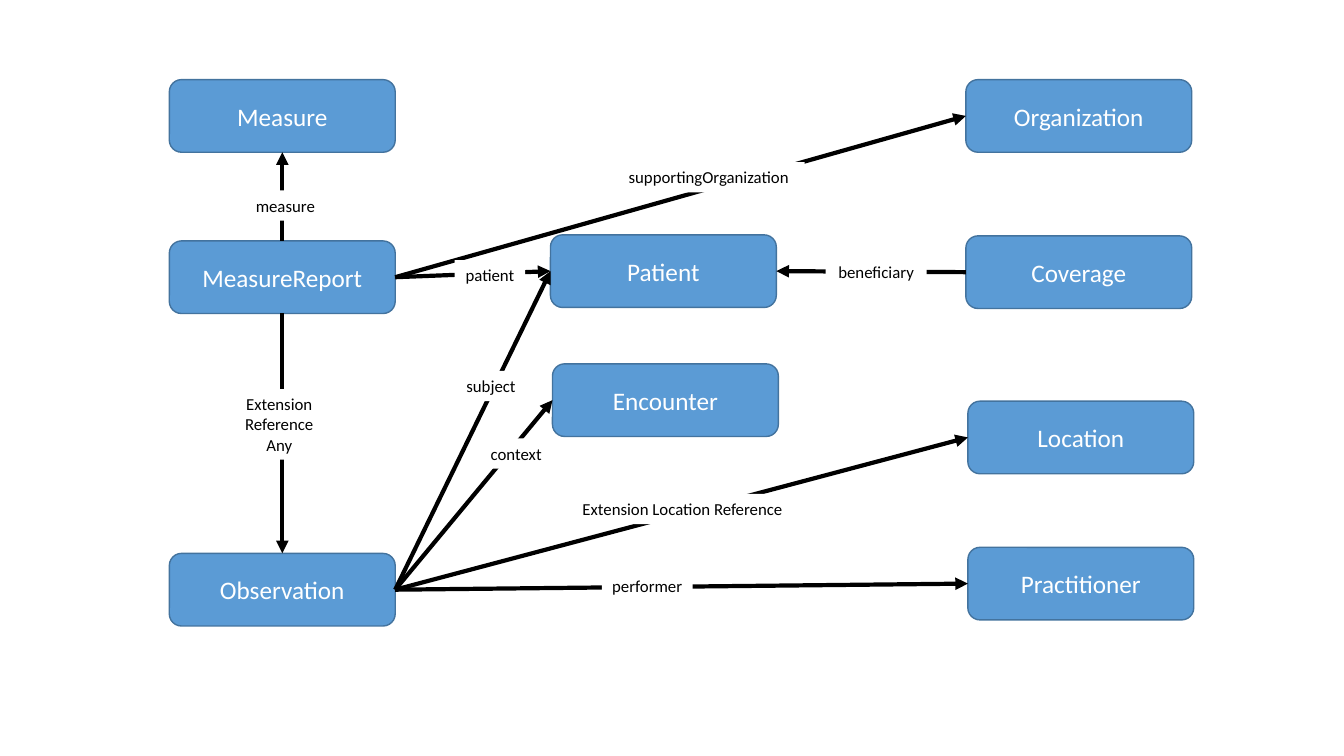
"""Draw the resource reference diagram around MeasureReport and Observation."""
from lxml.etree import SubElement
from pptx import Presentation
from pptx.dml.color import RGBColor
from pptx.enum.shapes import MSO_CONNECTOR, MSO_SHAPE
from pptx.enum.text import MSO_ANCHOR, PP_ALIGN
from pptx.oxml.ns import qn
from pptx.util import Inches, Pt


def color(value):
    return RGBColor.from_string(value)


class Diagram:
    FONT = "Calibri"
    FILL, BORDER, INK, PAPER = "5B9BD5", "43739E", "000000", "FFFFFF"
    NODE_SIZE = (2.24, 0.72)
    FRAME = {"word_wrap": True, "margin_left": Inches(0.08), "margin_right": Inches(0.08),
             "margin_top": Inches(0.05), "margin_bottom": Inches(0.05)}

    def __init__(self, slide):
        self.slide = slide

    def caption(self, shape, text, size, ink, anchor):
        frame = shape.text_frame
        for key, value in {**self.FRAME, "vertical_anchor": anchor}.items():
            setattr(frame, key, value)
        paragraph = frame.paragraphs[0]
        paragraph.alignment = PP_ALIGN.CENTER
        run = paragraph.add_run()
        run.text = text
        for key, value in {"name": self.FONT, "size": Pt(size)}.items():
            setattr(run.font, key, value)
        run.font.color.rgb = color(ink)

    def node(self, text, left, top):
        box = self.slide.shapes.add_shape(
            MSO_SHAPE.ROUNDED_RECTANGLE, *map(Inches, (left, top, *self.NODE_SIZE)))
        box.shadow.inherit = False
        box.fill.solid()
        box.fill.fore_color.rgb = color(self.FILL)
        box.line.color.rgb = color(self.BORDER)
        box.line.width = Pt(1)
        self.caption(box, text, 18, self.PAPER, MSO_ANCHOR.MIDDLE)
        return box

    def arrow(self, source, source_site, target, target_site):
        link = self.slide.shapes.add_connector(MSO_CONNECTOR.STRAIGHT, 0, 0, 0, 0)
        link.begin_connect(source, source_site)
        link.end_connect(target, target_site)
        link.line.color.rgb = color(self.INK)
        link.line.width = Pt(3)
        properties = link.element.spPr
        SubElement(properties.find(qn("a:ln")), qn("a:tailEnd"), type="triangle")
        SubElement(properties, qn("a:effectLst"))

    def label(self, text, left, top, width, height=0.3):
        box = self.slide.shapes.add_textbox(*map(Inches, (left, top, width, height)))
        box.fill.solid()
        box.fill.fore_color.rgb = color(self.PAPER)
        self.caption(box, text, 12, self.INK, MSO_ANCHOR.TOP)


TOP, LEFT, BOTTOM, RIGHT = range(4)
NODES = {
    "Coverage": (9.58, 2.34),
    "Organization": (9.58, 0.79),
    "Practitioner": (9.6, 5.43),
    "Observation": (1.68, 5.49),
    "Measure": (1.68, 0.79),
    "MeasureReport": (1.68, 2.39),
    "Patient": (5.46, 2.33),
    "Encounter": (5.48, 3.61),
    "Location": (9.6, 3.98),
}
REFERENCES = [
    ("MeasureReport", TOP, "Measure", BOTTOM),
    ("MeasureReport", BOTTOM, "Observation", TOP),
    ("MeasureReport", RIGHT, "Patient", LEFT),
    ("Observation", RIGHT, "Patient", LEFT),
    ("Observation", RIGHT, "Encounter", LEFT),
    ("Observation", RIGHT, "Practitioner", LEFT),
    ("Observation", RIGHT, "Location", LEFT),
    ("Coverage", LEFT, "Patient", RIGHT),
    ("MeasureReport", RIGHT, "Organization", LEFT),
]
LABELS = [
    ("performer", 5.97, 5.66, 0.9),
    ("Extension Location Reference", 5.59, 4.9, 2.36),
    ("Extension Reference Any", 2.25, 3.86, 1.04, 0.7),
    ("measure", 2.37, 1.89, 0.92),
    ("supportingOrganization", 6.08, 1.61, 1.9),
    ("subject", 4.52, 3.68, 0.7),
    ("patient", 4.51, 2.58, 0.7),
    ("beneficiary", 8.19, 2.55, 1),
    ("context", 4.72, 4.35, 0.8),
]

deck = Presentation()
deck.slide_width, deck.slide_height = Inches(13.33), Inches(7.5)
diagram = Diagram(deck.slides.add_slide(deck.slide_layouts[6]))

resources = {name: diagram.node(name, *place) for name, place in NODES.items()}
for source, source_site, target, target_site in REFERENCES:
    diagram.arrow(resources[source], source_site, resources[target], target_site)
for label in LABELS:
    diagram.label(*label)

deck.save("out.pptx")
